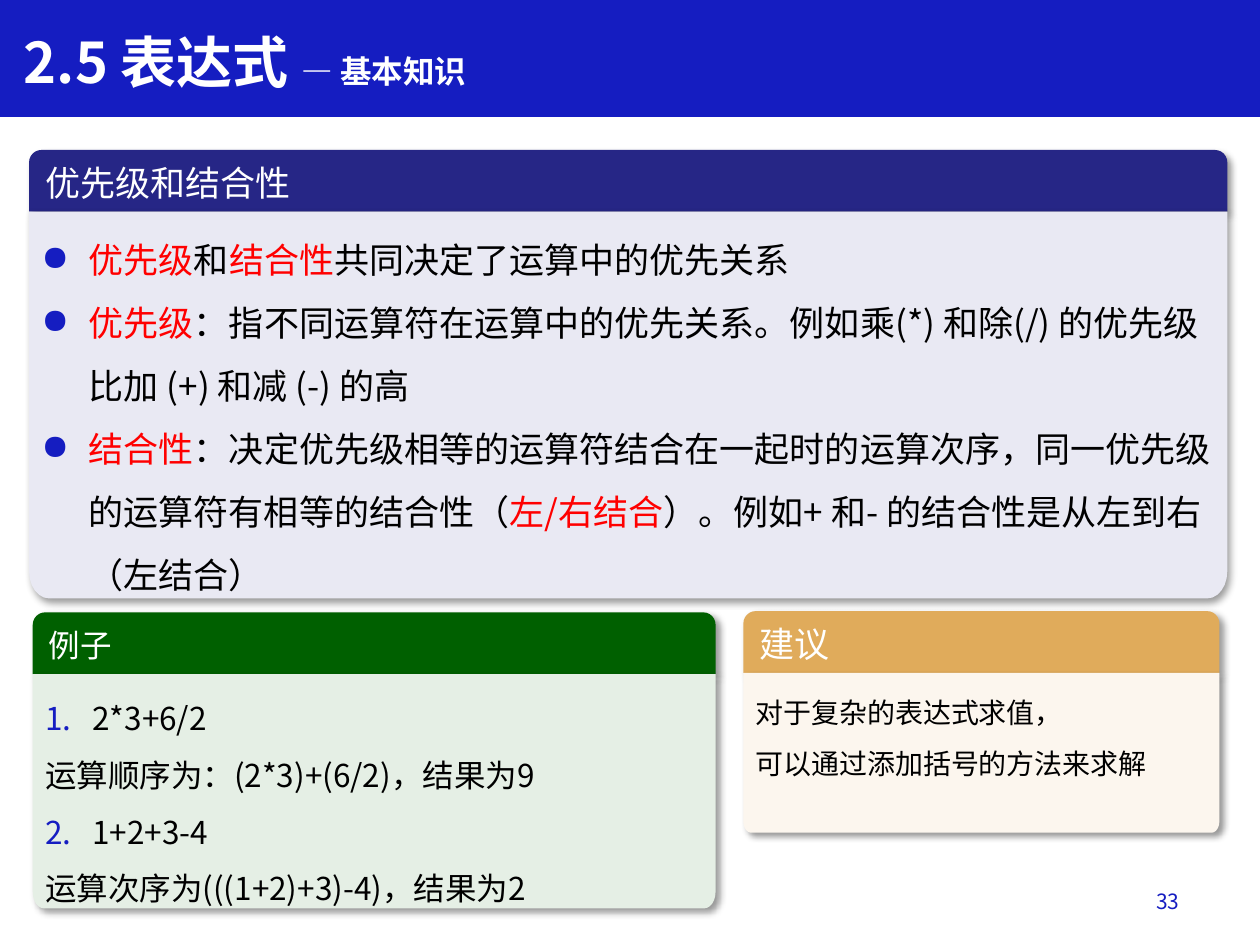
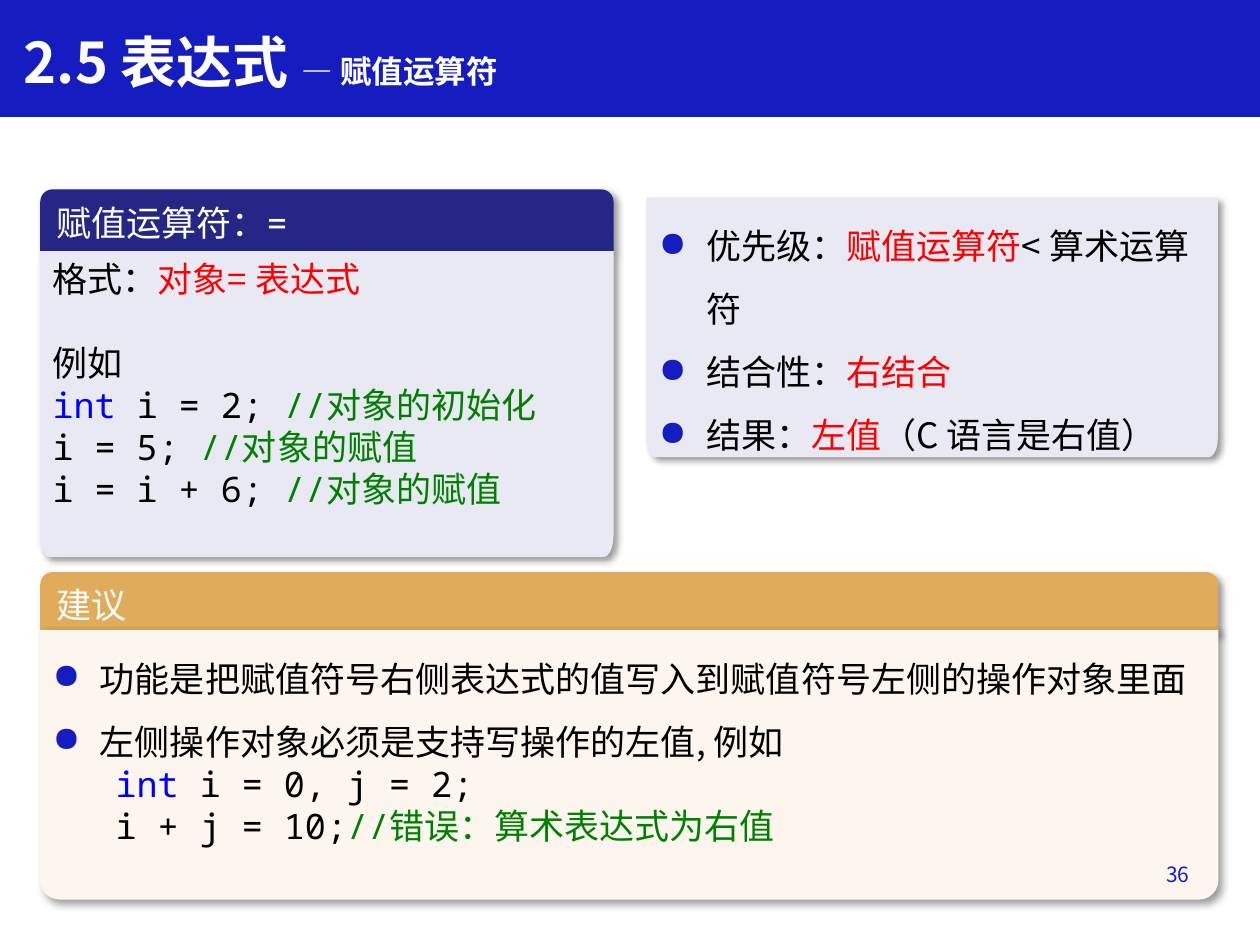
"""Build two lecture slides about C++ expressions."""
import dataclasses
import math

import pptx
import pptx.dml.color
import pptx.enum.shapes
import pptx.enum.text
import pptx.oxml.ns
import pptx.util
from lxml import etree

Pt = pptx.util.Pt
RGBColor = pptx.dml.color.RGBColor
Anchor = pptx.enum.text.MSO_ANCHOR
Align = pptx.enum.text.PP_ALIGN
Preset = pptx.enum.shapes.MSO_SHAPE

SANS = "Noto Sans CJK SC"
MONO = "Noto Sans Mono"

BLUE = RGBColor(0x15, 0x1D, 0xC1)
WHITE = RGBColor(0xFF, 0xFF, 0xFF)
BLACK = RGBColor(0, 0, 0)
RED = RGBColor(0xFF, 0, 0)
KEYWORD = RGBColor(0, 0, 0xFF)
COMMENT = RGBColor(0, 0x80, 0)
NAVY, LAVENDER = RGBColor(0x26, 0x26, 0x86), RGBColor(0xE9, 0xE9, 0xF3)
GREEN, MINT = RGBColor(0, 0x60, 0), RGBColor(0xE5, 0xEF, 0xE5)
AMBER, CREAM = RGBColor(0xE0, 0xAB, 0x5B), RGBColor(0xFC, 0xF6, 0xEE)

HEAD_H = 35.3
INDENT = 27


@dataclasses.dataclass
class Line:
    """One paragraph; a run is a string or a (text, colour) pair, a bullet is a sign or a number."""
    runs: list
    bullet: object = None
    spacing: float = 1.5
    before: float = 0
    font: str = SANS


def bullet_line(*runs):
    """Return a line with a round bullet."""
    return Line(list(runs), bullet="●")


def code_line(*runs):
    """Return a single-spaced line of code."""
    return Line(list(runs), spacing=1, font=MONO)


def sub(parent, tag, **attrs):
    """Append a DrawingML element."""
    return etree.SubElement(parent, pptx.oxml.ns.qn("a:" + tag), attrs)


def set_font(p, size, color, name=SANS, bold=None):
    """Set the font that all runs of a paragraph share."""
    p.font.size, p.font.name, p.font.bold = Pt(size), name, bold
    p.font.color.rgb = color
    sub(p.font._element, "ea", typeface=SANS)


def paint(sp, color):
    """Fill a shape and remove its outline."""
    sp.fill.solid()
    sp.fill.fore_color.rgb = color
    sp.line.fill.background()
    sp.shadow.inherit = False


def cast_shadow(sp):
    """Give a shape the soft shadow of the panels."""
    effects = sp._element.spPr.find(pptx.oxml.ns.qn("a:effectLst"))
    shadow = sub(effects, "outerShdw", blurRad=str(Pt(4)), dist=str(Pt(3)),
                 dir="2700000", algn="tl", rotWithShape="0")
    sub(sub(shadow, "srgbClr", val="000000"), "alpha", val="40000")


def add_bullet(p, bullet):
    """Add a hanging bullet sign or number to a paragraph."""
    pPr = p._p.get_or_add_pPr()
    pPr.set("marL", str(Pt(INDENT)))
    pPr.set("indent", str(-Pt(INDENT)))
    sub(sub(pPr, "buClr"), "srgbClr", val=str(BLUE))
    if isinstance(bullet, int):
        sub(pPr, "buAutoNum", type="arabicPeriod", startAt=str(bullet))
    else:
        sub(pPr, "buChar", char=bullet)


def write_lines(tf, lines, size):
    """Fill a text frame with lines."""
    for i, line in enumerate(lines):
        p = tf.paragraphs[0] if i == 0 else tf.add_paragraph()
        p.alignment = Align.LEFT
        p.line_spacing = line.spacing
        if line.before:
            p.space_before = Pt(line.before)
        if line.bullet:
            add_bullet(p, line.bullet)
        set_font(p, size, BLACK, line.font)
        for run in line.runs:
            text, color = (run, None) if isinstance(run, str) else run
            r = p.add_run()
            r.text = text
            if color is not None:
                r.font.color.rgb = color


def add_text(s, box, anchor):
    """Add a wrapping text box and return its text frame."""
    tf = s.shapes.add_textbox(*map(Pt, box)).text_frame
    tf.word_wrap = True
    tf.vertical_anchor = anchor
    return tf


def add_title(s, topic):
    """Add the blue band with the section title and topic."""
    band = s.shapes.add_shape(Preset.RECTANGLE, 0, 0, Pt(720), Pt(66.2))
    paint(band, BLUE)
    band.line.color.rgb, band.line.width = BLUE, Pt(1)
    p = add_text(s, (6.5, 12.2, 483, 46), Anchor.TOP).paragraphs[0]
    set_font(p, 32, WHITE, bold=True)
    p.add_run().text = "2.5 表达式 "
    r = p.add_run()
    r.text = "— " + topic
    r.font.size = Pt(18)


def add_page_number(s, x, y, number):
    """Add the right-aligned page number."""
    p = add_text(s, (x, y, 162, 28.8), Anchor.MIDDLE).paragraphs[0]
    p.text = str(number)
    p.alignment = Align.RIGHT
    set_font(p, 12, BLUE)


def add_head(s, box, title, color, size=20, font=SANS):
    """Add the round-topped heading of a panel at the top of its box."""
    x, y, w, _ = box
    sp = s.shapes.add_shape(Preset.ROUND_2_SAME_RECTANGLE, Pt(x), Pt(y), Pt(w), Pt(HEAD_H))
    sp.adjustments[0] = 0.2
    paint(sp, color)
    cast_shadow(sp)
    tf = sp.text_frame
    tf.vertical_anchor = Anchor.MIDDLE
    p = tf.paragraphs[0]
    p.text = title
    p.alignment = Align.LEFT
    set_font(p, size, WHITE, font)


def add_body(s, box, color, lines, size=20, top=HEAD_H):
    """Add the round-bottomed body of a panel, starting at top within its box."""
    x, y, w, h = box
    y, h = y + top, h - top
    rx, ry = w / 60, h * 0.07
    points = [(x + w, y)]
    for cx, start in ((x + w - rx, 0), (x + rx, 90)):
        for deg in range(start, start + 91, 15):
            a = math.radians(deg)
            points.append((cx + rx * math.cos(a), y + h - ry + ry * math.sin(a)))
    fb = s.shapes.build_freeform(Pt(x), Pt(y))
    fb.add_line_segments([(Pt(px), Pt(py)) for px, py in points], close=True)
    sp = fb.convert_to_shape()
    paint(sp, color)
    cast_shadow(sp)
    tf = sp.text_frame
    tf.word_wrap = True
    tf.vertical_anchor = Anchor.TOP
    write_lines(tf, lines, size)


def build_basics(s):
    """Build the slide on precedence and associativity."""
    add_title(s, "基本知识")
    rules = (16.6, 85.7, 684.7, 256.3)
    add_head(s, rules, "优先级和结合性", NAVY)
    add_body(s, rules, LAVENDER, [
        bullet_line(("优先级", RED), "和", ("结合性", RED), "共同决定了运算中的优先关系"),
        bullet_line(("优先级", RED), "：指不同运算符在运算中的优先关系。例如乘(*) 和除(/) 的优先级比加 (+) 和减 (-) 的高"),
        bullet_line(("结合性", RED), "：决定优先级相等的运算符结合在一起时的运算次序，同一优先级的运算符有相等的结合性（",
                    ("左/右结合", RED), "）。例如+ 和- 的结合性是从左到右（左结合）"),
    ])
    examples = (18.7, 349.9, 390.2, 169.2)
    add_head(s, examples, "例子", GREEN, size=18)
    add_body(s, examples, MINT, [
        Line(["2*3+6/2"], bullet=1),
        Line(["运算顺序为：(2*3)+(6/2)，结果为9"]),
        Line(["1+2+3-4"], bullet=2),
        Line(["运算次序为(((1+2)+3)-4)，结果为2"]),
    ], size=18)
    advice = (424.8, 349.2, 272, 126.7)
    add_head(s, advice, "建议", AMBER)
    add_body(s, advice, CREAM, [
        Line(["对于复杂的表达式求值，"], font=MONO),
        Line(["可以通过添加括号的方法来求解"], font=MONO),
    ], size=16)
    add_page_number(s, 519.1, 500.4, 33)


def build_assignment(s):
    """Build the slide on the assignment operator."""
    add_title(s, "赋值运算符")
    advice = (23, 326.9, 673.2, 187.2)
    add_head(s, advice, "建议", AMBER)
    add_body(s, advice, CREAM, [
        bullet_line("功能是把赋值符号右侧表达式的值写入到赋值符号左侧的操作对象里面"),
        bullet_line("左侧操作对象必须是支持写操作的左值, 例如"),
        code_line(("   int ", KEYWORD), "i = 0, j = 2;"),
        code_line("   i + j = 10;", ("//错误：算术表达式为右值", COMMENT)),
    ], top=33.1)
    add_body(s, (369.4, 113, 326.5, 148.3), LAVENDER, [
        bullet_line("优先级：", ("赋值运算符", RED), "< 算术运算符"),
        bullet_line("结合性：", ("右结合", RED)),
        bullet_line("结果：", ("左值", RED), "（C 语言是右值）"),
    ], top=0)
    usage = (23, 108.2, 327.6, 210)
    add_head(s, usage, "赋值运算符：=", NAVY, font=MONO)
    add_body(s, usage, LAVENDER, [
        Line(["格式：", ("对象= 表达式", RED)], spacing=1),
        Line(["例如"], spacing=1, before=24),
        code_line(("int ", KEYWORD), "i = 2; ", ("//对象的初始化", COMMENT)),
        code_line("i = 5; ", ("//对象的赋值", COMMENT)),
        code_line("i = i + 6; ", ("//对象的赋值", COMMENT)),
    ])
    add_page_number(s, 524.9, 485.3, 36)


def main():
    """Build both slides and save the presentation."""
    prs = pptx.Presentation()
    prs.slide_width, prs.slide_height = Pt(720), Pt(540)
    for build in (build_basics, build_assignment):
        build(prs.slides.add_slide(prs.slide_layouts[6]))
    prs.save("out.pptx")


if __name__ == "__main__":
    main()
